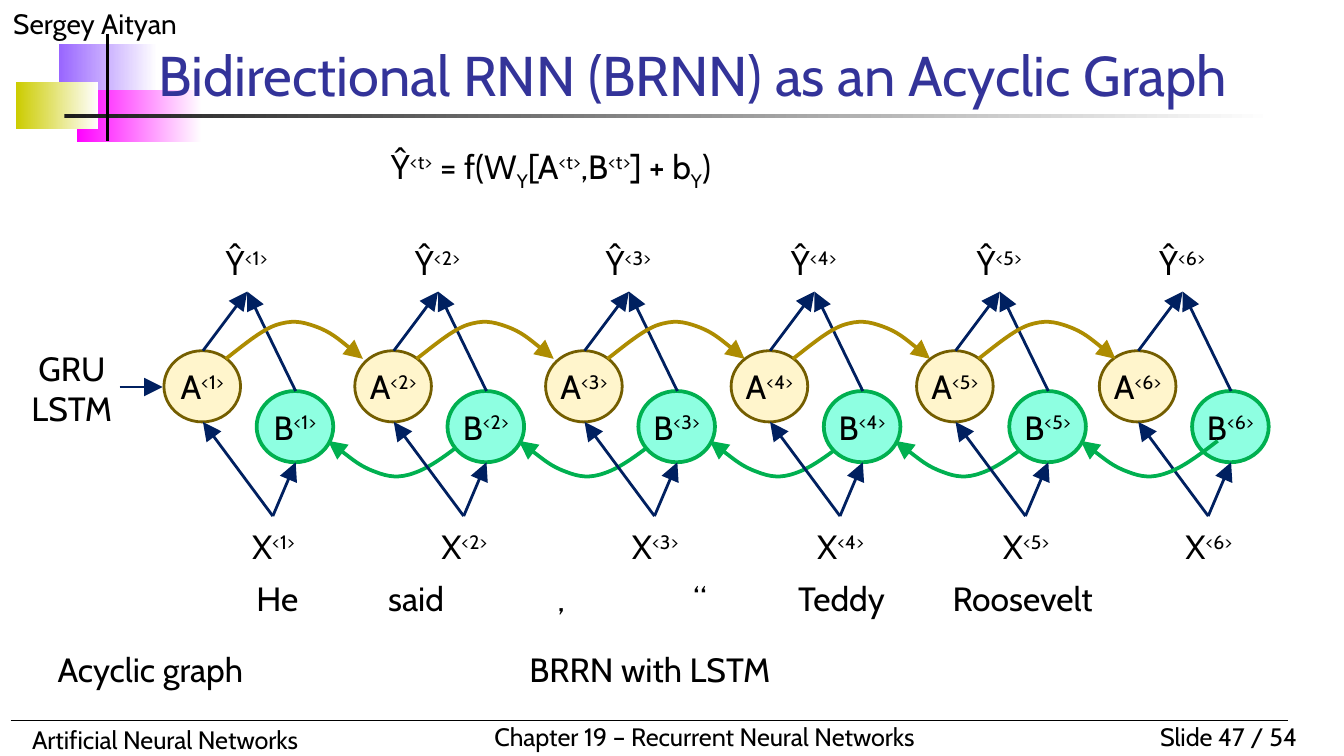
"""Build the slide on bidirectional RNNs as an acyclic graph."""
from pptx import Presentation
from pptx.dml.color import RGBColor
from pptx.enum import shapes, text
from pptx.oxml.ns import qn
from pptx.util import Inches, Pt

FONT = "Cabin"
BLACK, NAVY, GOLD, GREEN = "000000", "002060", "AD8C01", "00B050"
BASELINES = {"^": "30000", "_": "-25000"}
COLUMNS = {1: 1.22, 2: 2.64, 3: 4.06, 4: 5.44, 6: 8.18, 5: 6.82}
FORWARD = [(0.46, 2.67), (0.59, 2.57), (0.72, 2.46), (0.83, 2.42), (0.95, 2.38),
           (1.02, 2.39), (1.13, 2.43), (1.24, 2.47), (1.36, 2.57), (1.48, 2.67)]
BACKWARD = [(2.24, 3.28), (2.11, 3.38), (1.98, 3.48), (1.86, 3.52), (1.75, 3.56),
            (1.67, 3.55), (1.57, 3.51), (1.46, 3.47), (1.34, 3.37), (1.22, 3.28)]


def rgb(value):
    """Turn a hex string into a colour."""
    return RGBColor.from_string(value)


def write(sp, content, size=18, color=BLACK, align="LEFT", anchor="TOP",
          inset=None, wrap=True, tabs=()):
    """Fill a shape with lines of runs split by |, where ^ raises and _ lowers a run."""
    tf = sp.text_frame
    tf.auto_size = text.MSO_AUTO_SIZE.NONE
    tf.word_wrap = wrap
    tf.vertical_anchor = getattr(text.MSO_ANCHOR, anchor)
    if inset is not None:
        tf.margin_left = tf.margin_right = tf.margin_top = tf.margin_bottom = Inches(inset)
    for i, line in enumerate(content.split("\n")):
        p = tf.add_paragraph() if i else tf.paragraphs[0]
        p.alignment = getattr(text.PP_ALIGN, align)
        if tabs:
            stops = p._p.get_or_add_pPr().makeelement(qn("a:tabLst"), {})
            p._p.get_or_add_pPr().append(stops)
            for x in tabs:
                stops.append(stops.makeelement(qn("a:tab"), {"pos": str(Inches(x)), "algn": "l"}))
        for part in line.split("|"):
            r = p.add_run()
            r.text = part.lstrip("^_")
            r.font.name, r.font.size = FONT, Pt(size)
            r.font.color.rgb = rgb(color)
            if part[0] in BASELINES:
                r._r.get_or_add_rPr().set("baseline", BASELINES[part[0]])


def add_text(s, content, x, y, w, h, **fmt):
    """Add a text box."""
    write(s.shapes.add_textbox(*map(Inches, (x, y, w, h))), content, **fmt)


def add_label(s, content, x, y):
    """Add a centred label without margins."""
    add_text(s, content, x, y, 0.57, 0.44, align="CENTER", anchor="MIDDLE", inset=0, wrap=False)


def add_fade(s, color, x, y, w, h):
    """Add a rectangle fading to white on the right."""
    sp = s.shapes.add_shape(shapes.MSO_SHAPE.RECTANGLE, *map(Inches, (x, y, w, h)))
    sp.shadow.inherit = False
    sp.line.fill.background()
    sp.fill.gradient()
    sp.fill.gradient_angle = 0
    for stop, value, position in zip(sp.fill.gradient_stops, (color, "FFFFFF"), (0, 1)):
        stop.color.rgb, stop.position = rgb(value), position


def style_line(sp, color, width, arrow):
    """Set line colour and width, with an optional arrowhead at the end."""
    sp.line.color.rgb, sp.line.width = rgb(color), Pt(width)
    if arrow:
        ln = sp.line._get_or_add_ln()
        head = {"type": "triangle", "w": "lg", "len": "lg"}
        ln.append(ln.makeelement(qn("a:tailEnd"), head))


def add_line(s, start, end, color=NAVY, width=1.5, arrow=True):
    """Add a straight connector."""
    sp = s.shapes.add_connector(shapes.MSO_CONNECTOR.STRAIGHT, *map(Inches, start + end))
    style_line(sp, color, width, arrow)
    props = sp._element.spPr
    props.append(props.makeelement(qn("a:effectLst"), {}))


def add_curve(s, points, x, color):
    """Add an arrow of cubic Bézier segments, moved right by x."""
    start, *rest = [(Inches(x + dx), Inches(y)) for dx, y in points]
    builder = s.shapes.build_freeform(*start)
    builder.add_line_segments(rest, close=False)
    sp = builder.convert_to_shape()
    sp.shadow.inherit = False
    sp.fill.background()
    style_line(sp, color, 2, True)
    path = next(sp._element.iter(qn("a:path")))
    steps = path.findall(qn("a:lnTo"))
    for i in range(0, len(steps), 3):
        curve = path.makeelement(qn("a:cubicBezTo"), {})
        path.append(curve)
        for step in steps[i:i + 3]:
            curve.append(step[0])
            path.remove(step)


def add_node(s, content, x, y, fill, color, width):
    """Add a round network unit."""
    sp = s.shapes.add_shape(shapes.MSO_SHAPE.OVAL, *map(Inches, (x, y, 0.57, 0.53)))
    sp.shadow.inherit = False
    sp.fill.solid()
    sp.fill.fore_color.rgb = rgb(fill)
    style_line(sp, color, width, False)
    write(sp, content, align="CENTER", anchor="MIDDLE", inset=0, wrap=False)


def add_step(s, t, x):
    """Add one time step with its units, labels and arrows."""
    source, target = (x + 0.81, 3.84), (x + 0.62, 2.17)
    add_node(s, f"A|^<{t}>", x, 2.61, "FFF5CC", "745E00", 1.5)
    add_line(s, (x + 0.29, 2.61), target)
    add_line(s, source, (x + 0.29, 3.14))
    add_label(s, f"Ŷ|^<{t}>", x + 0.33, 1.73)
    add_label(s, f"X|^<{t}>", x + 0.53, 3.84)
    add_node(s, f"B|^<{t}>", x + 0.69, 2.91, "8EFFE1", GREEN, 2)
    add_line(s, source, (x + 0.98, 3.44))
    add_line(s, (x + 0.98, 2.91), target)
    if t < len(COLUMNS):
        add_curve(s, FORWARD, x, GOLD)
        add_curve(s, BACKWARD, x, GREEN)


def add_frame(s):
    """Add the decoration, header and footer."""
    add_fade(s, "9966FF", 0.44, 0.33, 0.73, 0.39)
    add_fade(s, "FF00FF", 0.57, 0.67, 0.93, 0.39)
    add_fade(s, "CCCC00", 0.12, 0.61, 0.61, 0.35)
    add_fade(s, "1C1C1C", 0.48, 0.85, 9, 0.03)
    add_text(s, "Sergey Aityan", 0, 0, 2.5, 0.35, size=15)
    add_text(s, "Slide 47 / 54", 8.25, 5.32, 1.5, 0.33, size=13.5, align="RIGHT")
    add_text(s, "Artificial Neural Networks", 0.14, 5.34, 3.7, 0.33, size=13.5)
    add_text(s, "Chapter 19 – Recurrent Neural Networks", 3.58, 5.32, 3.6, 0.33, size=13.5)
    add_line(s, (0.08, 5.36), (9.58, 5.36), BLACK, 0.75, False)
    add_line(s, (0.8, 0.25), (0.8, 1.05), BLACK, 2, False)


def add_title(s, content):
    """Place the title in front of the decoration."""
    sp = s.shapes.title
    sp.left, sp.top, sp.width, sp.height = map(Inches, (1.08, 0.31, 8.74, 0.54))
    write(sp, content, size=30, color="333399", anchor="BOTTOM")
    sp._element.getparent().append(sp._element)


def main():
    """Build and save the slide."""
    prs = Presentation()
    prs.slide_width, prs.slide_height = Inches(10), Inches(10 * 9 / 16)
    s = prs.slides.add_slide(prs.slide_layouts[5])
    add_frame(s)
    add_title(s, "Bidirectional RNN (BRNN) as an Acyclic Graph")
    add_text(s, "Ŷ|^<t>| = f(W|_Y|[A|^<t>|,B|^<t>|] + b|_Y|)", 2.81, 1.04, 3.41, 0.4)
    add_line(s, (0.89, 2.88), (1.21, 2.88))
    add_label(s, "GRU\nLSTM", 0.25, 2.67)
    for t, x in COLUMNS.items():
        add_step(s, t, x)
    add_text(s, "He\tsaid\t,\t“\tTeddy\tRoosevelt", 1.81, 4.25, 8.01, 0.4,
             tabs=(0.98, 2.24, 3.25, 4.03, 5.18))
    add_text(s, "Acyclic graph", 0.33, 4.78, 1.87, 0.4)
    add_text(s, "BRRN with LSTM", 3.84, 4.78, 2.29, 0.4)
    prs.save("out.pptx")


if __name__ == "__main__":
    main()
